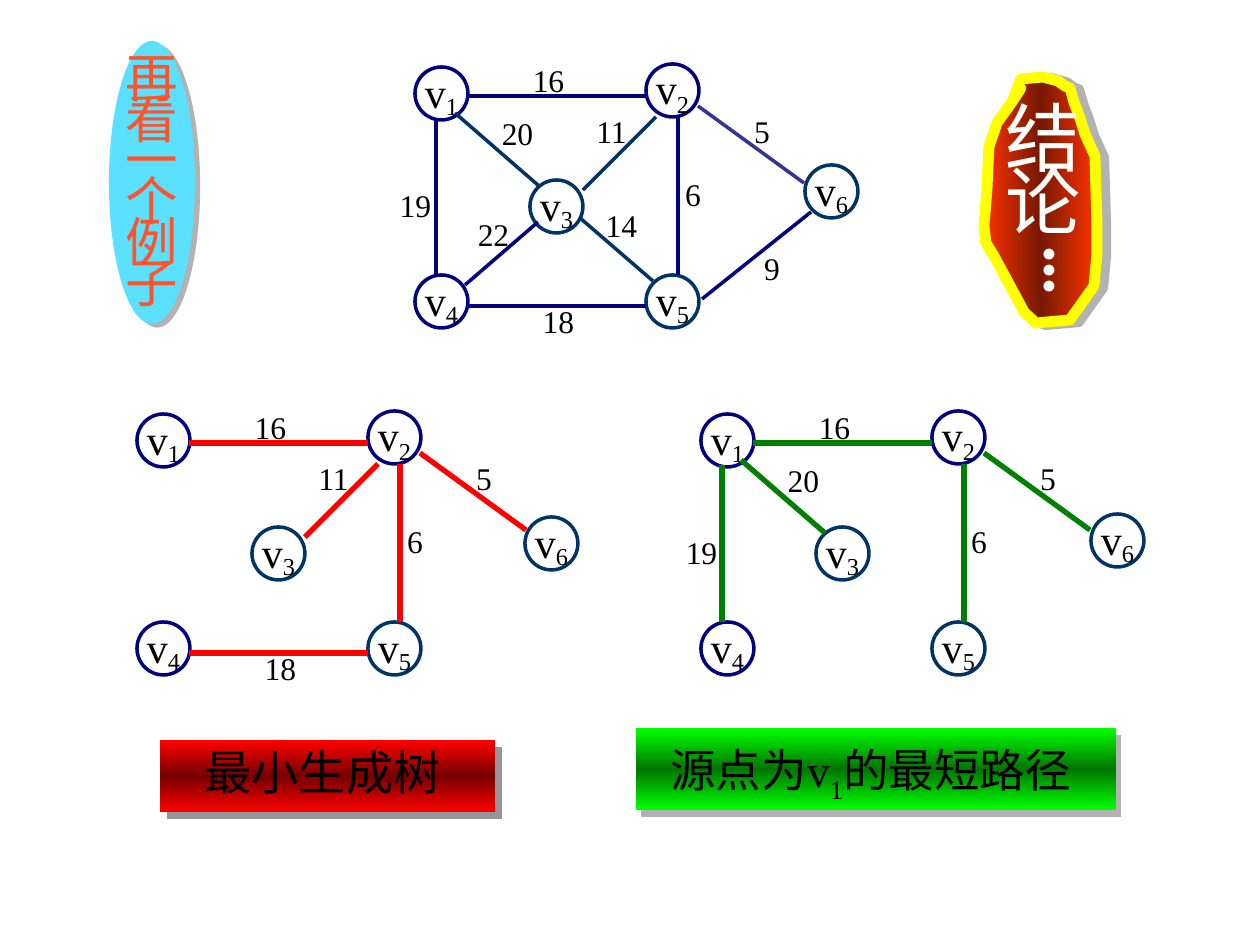
from copy import deepcopy
from dataclasses import dataclass

from lxml import etree
from pptx import Presentation
from pptx.dml.color import RGBColor
from pptx.enum.shapes import MSO_CONNECTOR, MSO_SHAPE
from pptx.enum.text import MSO_ANCHOR, PP_ALIGN
from pptx.oxml.ns import qn
from pptx.util import Emu, Pt

STRAIGHT = MSO_CONNECTOR.STRAIGHT
OVAL, RECTANGLE = MSO_SHAPE.OVAL, MSO_SHAPE.RECTANGLE
CENTER, LEFT = PP_ALIGN.CENTER, PP_ALIGN.LEFT
MIDDLE, TOP = MSO_ANCHOR.MIDDLE, MSO_ANCHOR.TOP
SCALE = 914400 / 126
NODE_SIZE = 53


@dataclass(frozen=True)
class Theme:
    font: str = "Times New Roman"
    black: str = "000000"
    white: str = "FFFFFF"
    navy: str = "000080"
    teal: str = "003366"
    indigo: str = "333399"
    red: str = "FF0000"
    dark_red: str = "760000"
    green: str = "008000"
    lime: str = "00FF00"
    dark_green: str = "007600"
    orange: str = "FF3300"
    brown: str = "761800"
    yellow: str = "FFFF00"
    sky: str = "5BE0FF"
    coral: str = "FF532B"
    light_grey: str = "B2B2B2"
    grey: str = "969696"
    weight_size: int = 18
    node_size: int = 24
    path_size: int = 26
    tree_size: int = 27
    title_size: int = 30
    conclusion_size: int = 43


THEME = Theme()


@dataclass(frozen=True)
class Run:
    text: str
    baseline: int = 0


@dataclass(frozen=True)
class Node:
    x: int
    y: int
    color: str
    drop: int = -18


@dataclass(frozen=True)
class Edge:
    line: tuple[int, int, int, int]
    weight: int
    label: tuple[int, int]
    color: str = THEME.navy


@dataclass(frozen=True)
class Graph:
    dx: int
    dy: int
    edges: tuple[str, ...]
    v6: tuple[int, int]
    color: str | None = None
    width: int = 3


NODES = {
    "1": Node(415, 67, THEME.navy),
    "2": Node(646, 64, THEME.navy, -20),
    "3": Node(530, 180, THEME.teal),
    "4": Node(415, 275, THEME.navy),
    "5": Node(646, 275, THEME.teal),
    "6": Node(805, 165, THEME.teal),
}
EDGES = {
    "12": Edge((467, 96, 646, 96), 16, (520, 55)),
    "14": Edge((436, 118, 436, 275), 19, (387, 180)),
    "26": Edge((698, 106, 804, 183), 5, (741, 106), THEME.indigo),
    "45": Edge((467, 306, 646, 306), 18, (530, 296)),
    "25": Edge((678, 117, 678, 275), 6, (672, 169)),
    "56": Edge((702, 299, 811, 212), 9, (751, 243)),
    "13": Edge((455, 113, 539, 186), 20, (489, 108), THEME.teal),
    "34": Edge((465, 285, 538, 222), 22, (465, 209)),
    "35": Edge((580, 218, 653, 281), 14, (593, 200), THEME.teal),
    "23": Edge((583, 190, 656, 117), 11, (583, 106), THEME.teal),
}
GRAPHS = (
    Graph(0, 0, tuple(EDGES), (805, 165), width=2),
    Graph(286, 347, ("12", "14", "26", "25", "13"), (1091, 514), THEME.green),
    Graph(-278, 347, ("12", "26", "45", "25", "23"), (525, 517), THEME.red),
)
BADGE_OUTLINE = (
    (1021, 88), (1016, 96), (1012, 102), (997, 123), (989, 147), (987, 190),
    (984, 226), (986, 243), (994, 256), (1021, 306), (1024, 312), (1036, 323),
    (1070, 320), (1094, 286), (1097, 254), (1097, 223), (1095, 156), (1085, 134),
    (1080, 118), (1074, 102), (1070, 88), (1065, 86), (1058, 81), (1043, 77),
    (1021, 79), (1013, 100),
)


def px(value: int) -> Emu:
    return Emu(round(value * SCALE))


def rgb(color: str) -> RGBColor:
    return RGBColor.from_string(color)


def add_outer_shadow(effects, color: str, distance: float, angle: int) -> None:
    shadow = etree.SubElement(effects, qn("a:outerShdw"), blurRad="0",
                              dist=str(Pt(distance)), dir=str(angle * 60000),
                              algn="ctr", rotWithShape="0")
    etree.SubElement(shadow, qn("a:srgbClr"), val=color)


def cast_shadow(shape, color: str, distance: float, angle: int) -> None:
    shape.shadow.inherit = False
    add_outer_shadow(shape._element.spPr.find(qn("a:effectLst")), color, distance, angle)


def fill_band(shape, edge: str, middle: str, angle: int) -> None:
    """Fill with a gradient that has its darker colour halfway."""
    shape.fill.gradient()
    shape.fill.gradient_angle = angle
    stop_list = shape._element.spPr.find(qn("a:gradFill")).find(qn("a:gsLst"))
    stop_list.insert(1, deepcopy(stop_list[0]))
    for stop, position, color in zip(shape.fill.gradient_stops, (0, 0.5, 1), (edge, middle, edge)):
        stop.position = position
        stop.color.rgb = rgb(color)


def write(shape, lines: list[list[Run]], size: int, color: str, *, align=LEFT, anchor=TOP,
          wrap: bool = True, spacing: float = 1.0, shaded: bool = False) -> None:
    frame = shape.text_frame
    frame.word_wrap = wrap
    frame.vertical_anchor = anchor
    for index, runs in enumerate(lines):
        paragraph = frame.add_paragraph() if index else frame.paragraphs[0]
        paragraph.alignment = align
        paragraph.line_spacing = spacing
        for item in runs:
            run = paragraph.add_run()
            run.text = item.text
            run.font.size = Pt(size)
            run.font.name = THEME.font
            run.font.color.rgb = rgb(color)
            properties = run._r.get_or_add_rPr()
            if item.baseline:
                properties.set("baseline", str(item.baseline * 1000))
            if shaded:
                effects = etree.Element(qn("a:effectLst"))
                properties.find(qn("a:solidFill")).addnext(effects)
                add_outer_shadow(effects, THEME.black, 2, 45)


def add_text(slide, box: tuple[int, int, int, int], lines: list[list[Run]], size: int,
             color: str, **style):
    shape = slide.shapes.add_textbox(*map(px, box))
    write(shape, lines, size, color, **style)
    return shape


def add_panel(slide, kind, box: tuple[int, int, int, int]):
    shape = slide.shapes.add_shape(kind, *map(px, box))
    shape.shadow.inherit = False
    shape.line.fill.background()
    return shape


def draw_graph(slide, graph: Graph) -> None:
    for name, node in NODES.items():
        x, y = graph.v6 if name == "6" else (node.x + graph.dx, node.y + graph.dy)
        circle = add_panel(slide, OVAL, (x, y, NODE_SIZE, NODE_SIZE))
        circle.fill.background()
        circle.line.color.rgb = rgb(node.color)
        circle.line.width = Pt(2)
        write(circle, [[Run("v"), Run(name, node.drop)]], THEME.node_size, THEME.black,
              align=CENTER, anchor=MIDDLE, wrap=False)
    for edge in map(EDGES.get, graph.edges):
        x1, y1, x2, y2 = edge.line
        line = slide.shapes.add_connector(STRAIGHT, px(x1 + graph.dx), px(y1 + graph.dy),
                                          px(x2 + graph.dx), px(y2 + graph.dy))
        line.line.color.rgb = rgb(graph.color or edge.color)
        line.line.width = Pt(graph.width)
        etree.SubElement(line._element.spPr, qn("a:effectLst"))
        x, y = edge.label
        width = 57 if edge.weight > 9 else 42
        add_text(slide, (x + graph.dx, y + graph.dy, width, 50), [[Run(str(edge.weight))]],
                 THEME.weight_size, THEME.black, align=CENTER, wrap=False)


def draw_title(slide) -> None:
    oval = add_panel(slide, OVAL, (109, 41, 86, 283))
    oval.fill.solid()
    oval.fill.fore_color.rgb = rgb(THEME.sky)
    cast_shadow(oval, THEME.light_grey, 3.6, 34)
    add_text(slide, (113, 59, 158, 258), [[Run(letter)] for letter in "再看一个例子"],
             THEME.title_size, THEME.coral, spacing=0.65, shaded=True)


def draw_captions(slide) -> None:
    path_panel = add_panel(slide, RECTANGLE, (636, 728, 480, 82))
    fill_band(path_panel, THEME.lime, THEME.dark_green, 90)
    cast_shadow(path_panel, THEME.light_grey, 5, 53)
    add_text(slide, (658, 736, 508, 67), [[Run("源点为v"), Run("1", -25), Run("的最短路径")]],
             THEME.path_size, THEME.black, shaded=True)
    tree_panel = add_panel(slide, RECTANGLE, (160, 740, 335, 72))
    fill_band(tree_panel, THEME.red, THEME.dark_red, 90)
    cast_shadow(tree_panel, THEME.grey, 5.7, 45)
    add_text(slide, (192, 750, 299, 55), [[Run("最小生成树")]], THEME.tree_size, THEME.black,
             spacing=0.75, shaded=True)


def draw_conclusion(slide) -> None:
    builder = slide.shapes.build_freeform(*BADGE_OUTLINE[0], scale=SCALE)
    builder.add_line_segments(BADGE_OUTLINE[1:], close=True)
    badge = builder.convert_to_shape()
    fill_band(badge, THEME.orange, THEME.brown, 0)
    badge.line.color.rgb = rgb(THEME.yellow)
    badge.line.width = Pt(6.25)
    etree.SubElement(badge.line._get_or_add_ln(), qn("a:round"))
    cast_shadow(badge, THEME.light_grey, 5.1, 11)
    add_text(slide, (993, 110, 158, 139), [[Run("结")], [Run("论")]], THEME.conclusion_size,
             THEME.white, spacing=0.7, shaded=True)
    dots = add_text(slide, (1004, 237, 84, 67), [[Run("•••")]], THEME.path_size, THEME.white,
                    align=CENTER, wrap=False, shaded=True)
    dots.rotation = 270


def main() -> None:
    presentation = Presentation()
    presentation.slide_width, presentation.slide_height = px(1260), px(945)
    slide = presentation.slides.add_slide(presentation.slide_layouts[6])
    for graph in GRAPHS:
        draw_graph(slide, graph)
    draw_captions(slide)
    draw_title(slide)
    draw_conclusion(slide)
    presentation.save("out.pptx")


if __name__ == "__main__":
    main()
